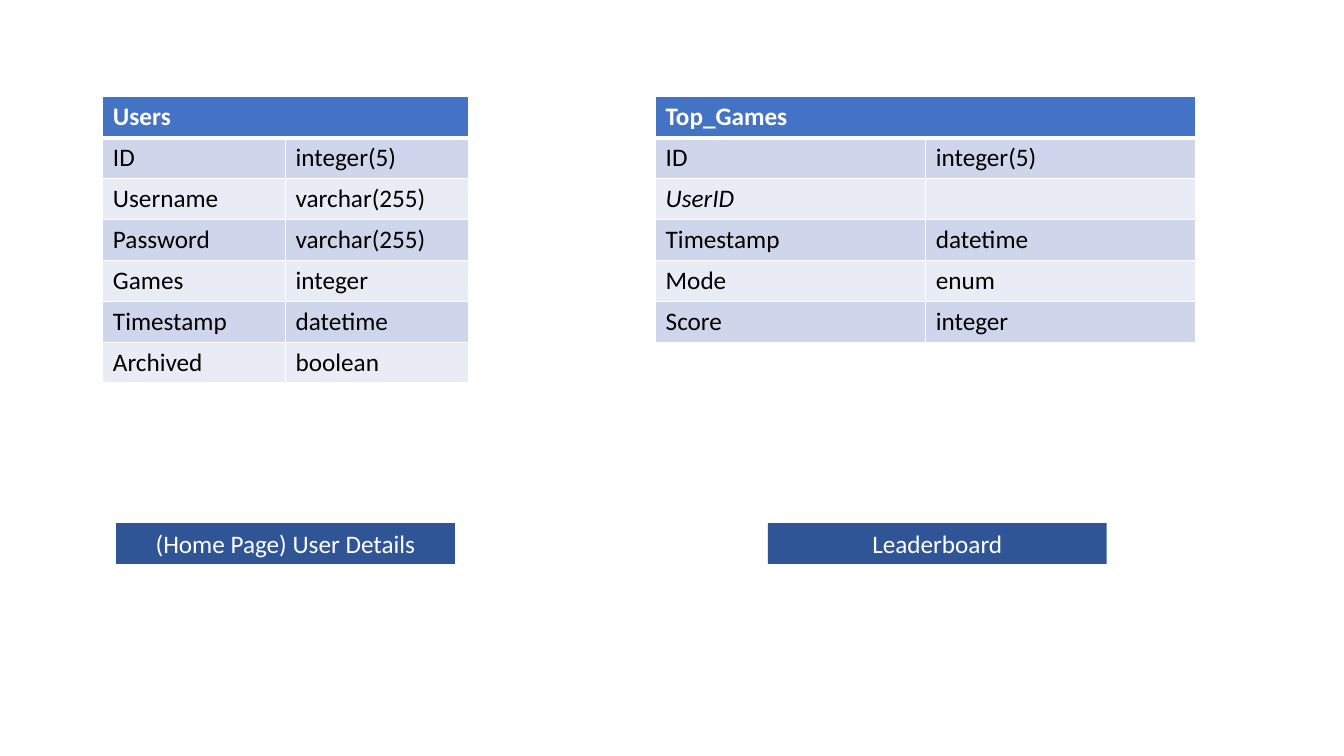
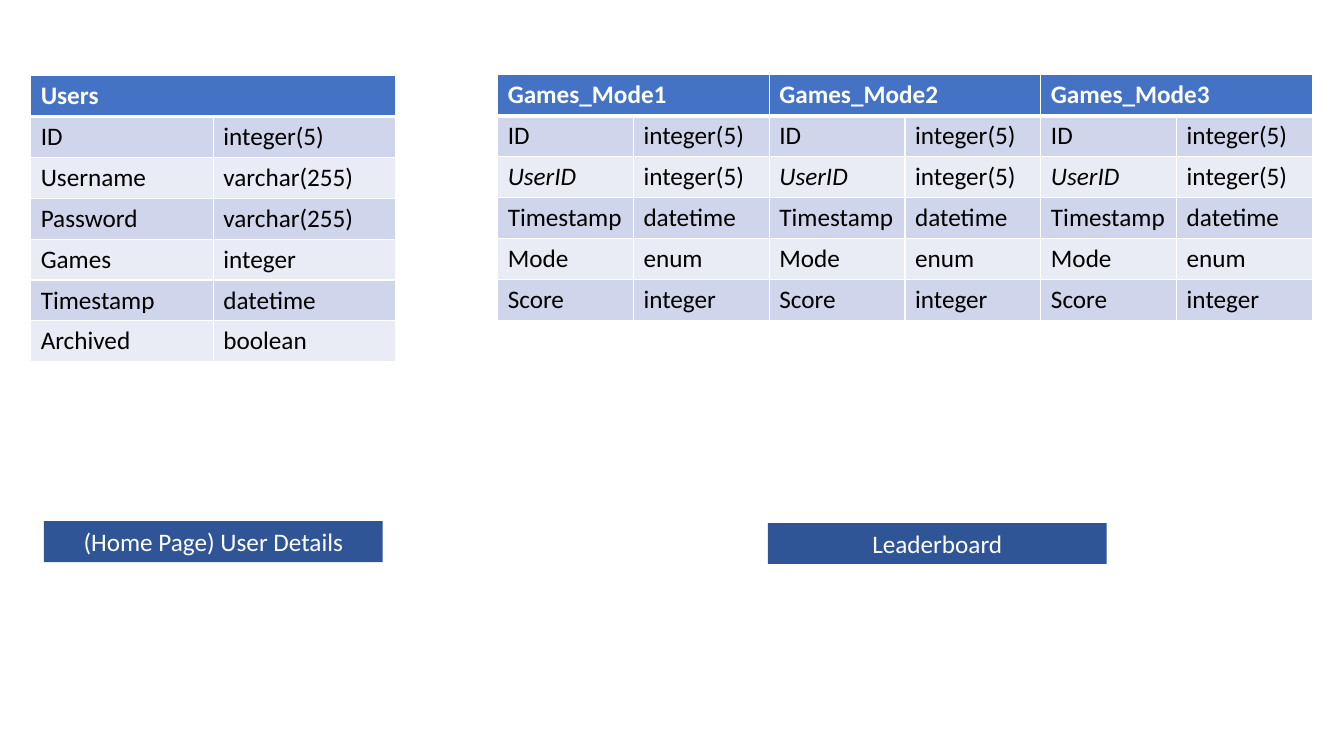
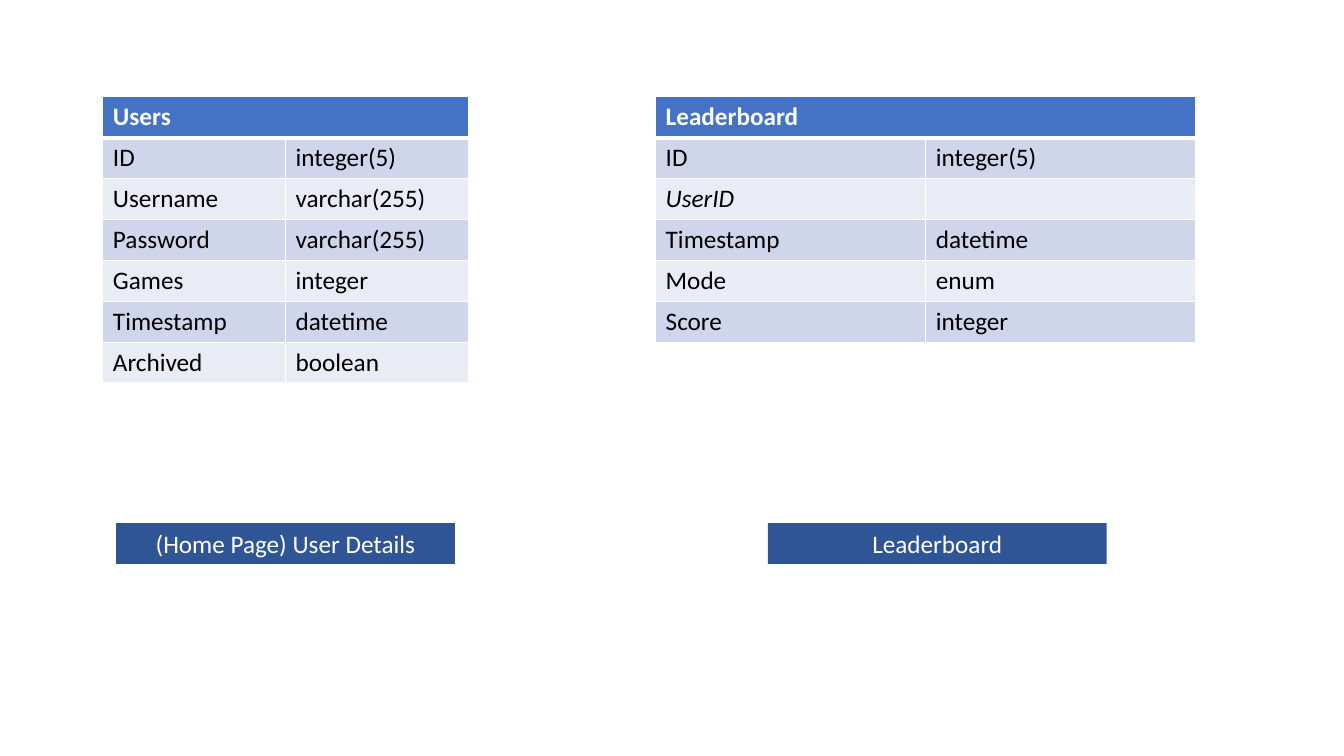
import pptx
import pptx.dml.color
import pptx.enum.shapes
import pptx.enum.text
import pptx.oxml
import pptx.oxml.ns
import pptx.util

USERS = [
    ("ID", "integer(5)"),
    ("Username", "varchar(255)"),
    ("Password", "varchar(255)"),
    ("Games", "integer"),
    ("Timestamp", "datetime"),
    ("Archived", "boolean"),
]
TOP_GAMES = [
    ("ID", "integer(5)"),
    ("UserID", ""),
    ("Timestamp", "datetime"),
    ("Mode", "enum"),
    ("Score", "integer"),
]
GAME_MODE = [
    (name, "integer(5)" if name == "UserID" else kind) for name, kind in TOP_GAMES
]
FOREIGN_KEYS = {"UserID"}
MODES = ["Games_Mode1", "Games_Mode2", "Games_Mode3"]

USERS_WIDTH, TOP_WIDTH, MODE_WIDTH = 261, 386, 194
MODE_LEFT, MODE_TOP = 355.5, 53.5
ROW_HEIGHT = 29.2
BUTTON_WIDTH, BUTTON_HEIGHT = 242, 29.2

FONT, FONT_SIZE = "Calibri", 18
WHITE, BLACK = "FFFFFF", "000000"
HEADER, BUTTON = "4472C4", "2F5597"
BANDS = ["CFD5EA", "E9EBF5"]
THIN, THICK = 1, 3

LEADERBOARD_BUTTON = ("Leaderboard", 548.5, 373.7)
HOME = "(Home Page) User Details"


def overview(games_name):
    """Describe a slide with the users table and one games table."""
    return {
        "tables": [
            ("Users", USERS, 73.5, 69.2, USERS_WIDTH),
            (games_name, TOP_GAMES, 468.3, 69.2, TOP_WIDTH),
        ],
        "buttons": [LEADERBOARD_BUTTON, (HOME, 82.9, 373.7)],
    }


BY_MODE = {
    "tables": [("Users", USERS, 21.9, 54, USERS_WIDTH)] + [
        (mode, GAME_MODE, MODE_LEFT + index * MODE_WIDTH, MODE_TOP, MODE_WIDTH)
        for index, mode in enumerate(MODES)
    ],
    "buttons": [LEADERBOARD_BUTTON, (HOME, 31.4, 372.3)],
}
SLIDES = [overview("Top_Games"), BY_MODE, overview("Leaderboard")]


def points(*values):
    """Convert numbers to lengths in points."""
    return [pptx.util.Pt(value) for value in values]


def paint(target, color):
    """Give a fill or a font a solid colour."""
    if hasattr(target, "solid"):
        target.solid()
        target = target.fore_color
    else:
        target = target.color
    target.rgb = pptx.dml.color.RGBColor.from_string(color)


def write(text_frame, text, color, bold=False, italic=False):
    """Put one formatted line of text in a frame."""
    paragraph = text_frame.paragraphs[0]
    paragraph.text = text
    font = paragraph.font
    font.name, font.size = FONT, pptx.util.Pt(FONT_SIZE)
    font.bold, font.italic = bold, italic
    paint(font, color)
    return paragraph


def add_borders(cell, top, bottom):
    """Draw white borders on the four sides of a cell."""
    properties = cell._tc.get_or_add_tcPr()
    for side, width in (("L", THIN), ("R", THIN), ("T", top), ("B", bottom)):
        properties.append(pptx.oxml.parse_xml(
            f'<a:ln{side} {pptx.oxml.ns.nsdecls("a")} w="{pptx.util.Pt(width)}">'
            f'<a:solidFill><a:srgbClr val="{WHITE}"/></a:solidFill></a:ln{side}>'
        ))


def add_entity(slide, name, fields, left, top, width):
    """Add a database table: a merged header above its fields."""
    rows = [(name, "")] + fields
    frame = slide.shapes.add_table(
        len(rows), 2, *points(left, top, width, ROW_HEIGHT * len(rows)))
    table = frame.table
    for column in table.columns:
        column.width = pptx.util.Pt(width / 2)
    table.cell(0, 0).merge(table.cell(0, 1))
    for row_index, row in enumerate(rows):
        table.rows[row_index].height = pptx.util.Pt(ROW_HEIGHT)
        is_header = row_index == 0
        for column_index, text in enumerate(row):
            cell = table.cell(row_index, column_index)
            add_borders(cell, THICK if row_index == 1 else THIN,
                        THICK if is_header else THIN)
            paint(cell.fill, HEADER if is_header else BANDS[(row_index - 1) % 2])
            write(cell.text_frame, text, WHITE if is_header else BLACK,
                  bold=is_header, italic=text in FOREIGN_KEYS)


def add_button(slide, text, left, top):
    """Add a flat page button with centred text."""
    shape = slide.shapes.add_shape(
        pptx.enum.shapes.MSO_SHAPE.RECTANGLE,
        *points(left, top, BUTTON_WIDTH, BUTTON_HEIGHT))
    shape.shadow.inherit = False
    paint(shape.fill, BUTTON)
    shape.line.fill.background()
    shape.text_frame.word_wrap = True
    shape.text_frame.auto_size = pptx.enum.text.MSO_AUTO_SIZE.SHAPE_TO_FIT_TEXT
    paragraph = write(shape.text_frame, text, WHITE)
    paragraph.alignment = pptx.enum.text.PP_ALIGN.CENTER


def main():
    """Build and save the presentation."""
    presentation = pptx.Presentation()
    presentation.slide_width, presentation.slide_height = points(960, 540)
    blank_layout = presentation.slide_layouts[6]
    for content in SLIDES:
        slide = presentation.slides.add_slide(blank_layout)
        for entity in content["tables"]:
            add_entity(slide, *entity)
        for button in content["buttons"]:
            add_button(slide, *button)
    presentation.save("out.pptx")


main()
